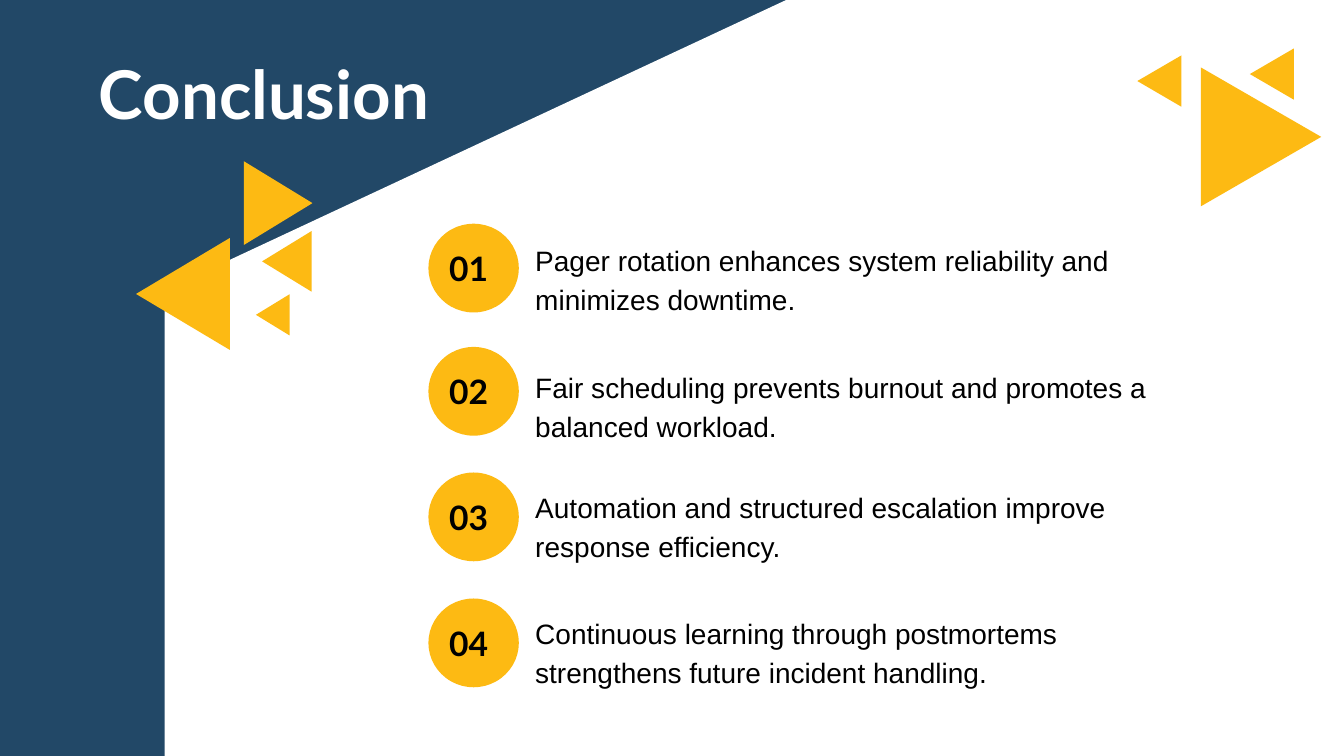
from pptx import Presentation
from pptx.dml.color import RGBColor
from pptx.enum.shapes import MSO_SHAPE
from pptx.enum.text import MSO_ANCHOR, PP_ALIGN
from pptx.util import Pt

NAVY, YELLOW, WHITE, BLACK = "224867", "FDBA13", "FFFFFF", "000000"
W, H = 960, 540

# Triangles: left, top, width, height inside the cluster, and direction
RIGHT_CLUSTER = [
    (45.4, 13.6, 86, 99.2, "right"),
    (80.4, 0, 31.4, 36.6, "left"),
    (0, 5, 31.4, 36.6, "left"),
]
LEFT_CLUSTER = [
    (0, 54.8, 67, 80, "left"),
    (77, 0, 49, 59.8, "right"),
    (90, 49.8, 35.4, 43.4, "left"),
    (85.6, 95, 24, 29.4, "left"),
]
# Circle top, text top, text
POINTS = [
    (159.8, 170.6, "Pager rotation enhances system reliability and minimizes downtime."),
    (247.8, 261.4, "Fair scheduling prevents burnout and promotes a balanced workload."),
    (337.5, 347, "Automation and structured escalation improve response efficiency."),
    (427.5, 437, "Continuous learning through postmortems strengthens future incident handling."),
]


def paint(fill, color):
    fill.solid()
    fill.fore_color.rgb = RGBColor.from_string(color)


def style(sp, color):
    paint(sp.fill, color)
    sp.line.fill.background()
    sp.shadow.inherit = False


def write(sp, text, font, size, color, bold=False):
    """Fill a shape with one paragraph, without insets, and return it."""
    tf = sp.text_frame
    tf.word_wrap = True
    tf.margin_left = tf.margin_right = tf.margin_top = tf.margin_bottom = 0
    tf.text = text
    p = tf.paragraphs[0]
    f = p.runs[0].font
    f.name, f.size, f.bold = font, Pt(size), bold
    f.color.rgb = RGBColor.from_string(color)
    return p


def add_polygon(s, points, color):
    (x0, y0), *rest = [(Pt(x), Pt(y)) for x, y in points]
    builder = s.shapes.build_freeform(x0, y0)
    builder.add_line_segments(rest, close=True)
    style(builder.convert_to_shape(), color)


def add_backdrop(s, left, fold_x, fold_y):
    """White page whose upper left corner is cut off over the navy ground."""
    paint(s.background.fill, NAVY)
    add_polygon(s, [(W, 0), (W, H), (left, H), (left, fold_y), (fold_x, 0)], WHITE)


def add_cluster(s, left, top, triangles):
    for dx, dy, w, h, direction in triangles:
        x, y = left + dx, top + dy
        base, tip = (x, x + w) if direction == "right" else (x + w, x)
        add_polygon(s, [(tip, y + h / 2), (base, y), (base, y + h)], YELLOW)


def add_title(s, left, top, width, height, text):
    sp = s.shapes.add_textbox(Pt(left), Pt(top), Pt(width), Pt(height))
    p = write(sp, text, "Lato", 48, WHITE, bold=True)
    p.line_spacing = 1.15
    sp.text_frame.vertical_anchor = MSO_ANCHOR.MIDDLE


def add_point(s, left, top, text_top, number, text):
    """Numbered circle with its statement on the right."""
    sp = s.shapes.add_shape(MSO_SHAPE.OVAL, Pt(left), Pt(top), Pt(64.6), Pt(63.4))
    style(sp, YELLOW)
    p = write(sp, f"{number:02}", "Lato", 24, BLACK, bold=True)
    p.alignment = PP_ALIGN.CENTER
    tf = sp.text_frame
    tf.word_wrap = False
    tf.margin_right = Pt(7.2)
    tf.vertical_anchor = MSO_ANCHOR.MIDDLE

    sp = s.shapes.add_textbox(Pt(left + 76.3), Pt(text_top), Pt(466.6), Pt(58))
    write(sp, text, "Arial", 20, BLACK).line_spacing = 1.15


def main():
    prs = Presentation()
    prs.slide_width, prs.slide_height = Pt(W), Pt(H)
    s = prs.slides.add_slide(prs.slide_layouts[6])
    add_backdrop(s, 117.6, 561.6, 207.4)
    add_title(s, 70.6, 33.8, 793.4, 56.2, "Conclusion")
    add_cluster(s, 812.4, 34.6, RIGHT_CLUSTER)
    add_cluster(s, 97.2, 115.2, LEFT_CLUSTER)
    for number, (top, text_top, text) in enumerate(POINTS, 1):
        add_point(s, 306, top, text_top, number, text)
    prs.save("out.pptx")


if __name__ == "__main__":
    main()
